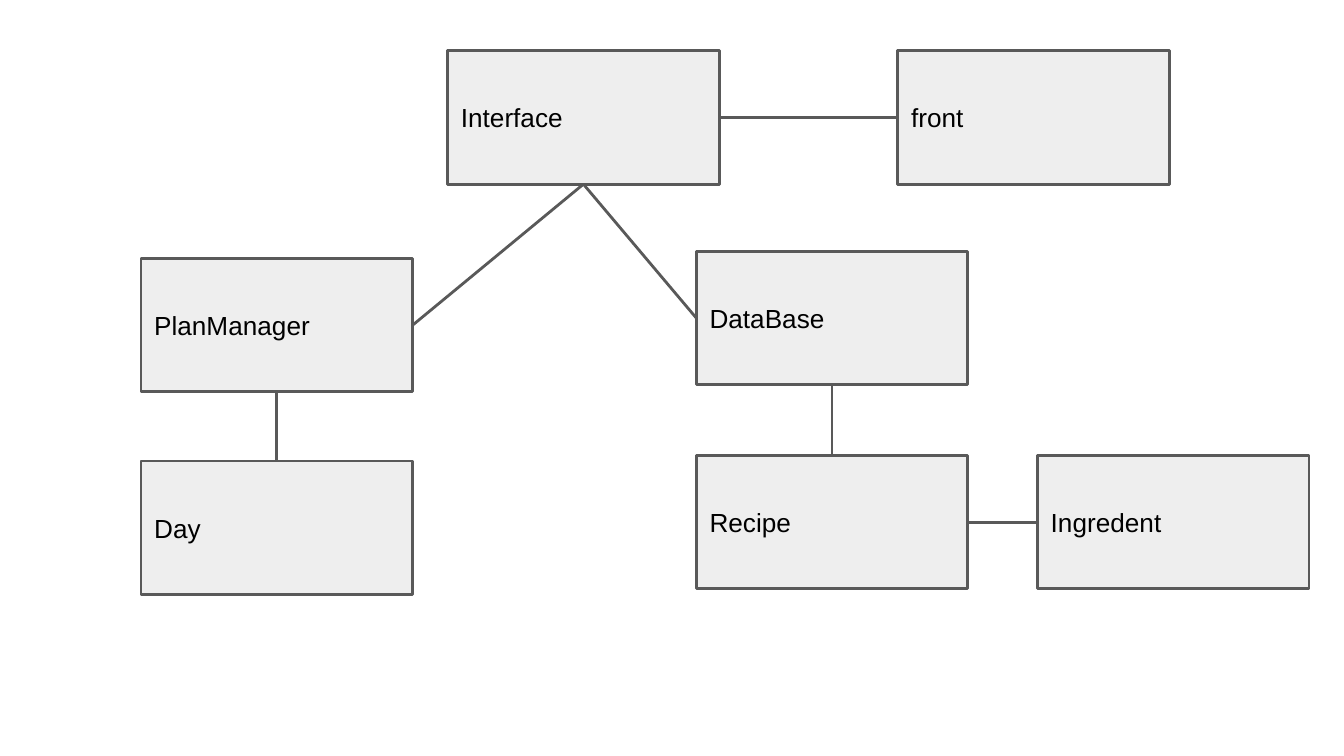
from lxml import etree
from pptx import Presentation
from pptx.dml.color import RGBColor
from pptx.enum.shapes import MSO_CONNECTOR, MSO_SHAPE
from pptx.enum.text import MSO_ANCHOR, PP_ALIGN
from pptx.oxml.ns import qn
from pptx.util import Pt

RECT = MSO_SHAPE.RECTANGLE
STRAIGHT = MSO_CONNECTOR.STRAIGHT
MIDDLE = MSO_ANCHOR.MIDDLE
LEFT_ALIGN = PP_ALIGN.LEFT
TOP, LEFT, BOTTOM, RIGHT = range(4)

COLORS = {"fill": "EEEEEE", "line": "595959", "text": "000000"}
BOX_W, BOX_H = 145.5, 71.5
LINE_W = 1.5


def write(tf, text, size=14, font="Arial", color="text", align=LEFT_ALIGN):
    p = tf.paragraphs[0]
    p.alignment = align
    r = p.add_run()
    r.text = text
    r.font.size = Pt(size)
    r.font.name = font
    r.font.color.rgb = RGBColor.from_string(COLORS[color])


def outline(shape):
    shape.line.color.rgb = RGBColor.from_string(COLORS["line"])
    shape.line.width = Pt(LINE_W)


prs = Presentation()
prs.slide_width, prs.slide_height = Pt(720), Pt(405)
s = prs.slides.add_slide(prs.slide_layouts[6])

classes = [
    ("Interface", 239.8, 27.2),
    ("PlanManager", 75.5, 138.5),
    ("DataBase", 373, 134.6),
    ("Ingredent", 555.8, 244),
    ("Day", 75.5, 247),
    ("Recipe", 373, 244),
    ("front", 481, 27.2),
]
boxes = {}
for name, x, y in classes:
    sp = s.shapes.add_shape(RECT, Pt(x), Pt(y), Pt(BOX_W), Pt(BOX_H))
    sp.shadow.inherit = False
    sp.fill.solid()
    sp.fill.fore_color.rgb = RGBColor.from_string(COLORS["fill"])
    outline(sp)
    tf = sp.text_frame
    tf.word_wrap = True
    tf.vertical_anchor = MIDDLE
    tf.margin_left = tf.margin_right = tf.margin_top = tf.margin_bottom = Pt(7.2)
    write(tf, name)
    boxes[name] = sp

links = [
    ("Interface", BOTTOM, "PlanManager", RIGHT),
    ("Interface", BOTTOM, "DataBase", LEFT),
    ("Interface", RIGHT, "front", LEFT),
    ("DataBase", BOTTOM, "Recipe", TOP),
    ("PlanManager", BOTTOM, "Day", TOP),
    ("Recipe", RIGHT, "Ingredent", LEFT),
]
for start, start_side, end, end_side in links:
    cxn = s.shapes.add_connector(STRAIGHT, 0, 0, 0, 0)
    cxn.begin_connect(boxes[start], start_side)
    cxn.end_connect(boxes[end], end_side)
    outline(cxn)
    etree.SubElement(cxn._element.spPr, qn("a:effectLst"))

prs.save("out.pptx")
